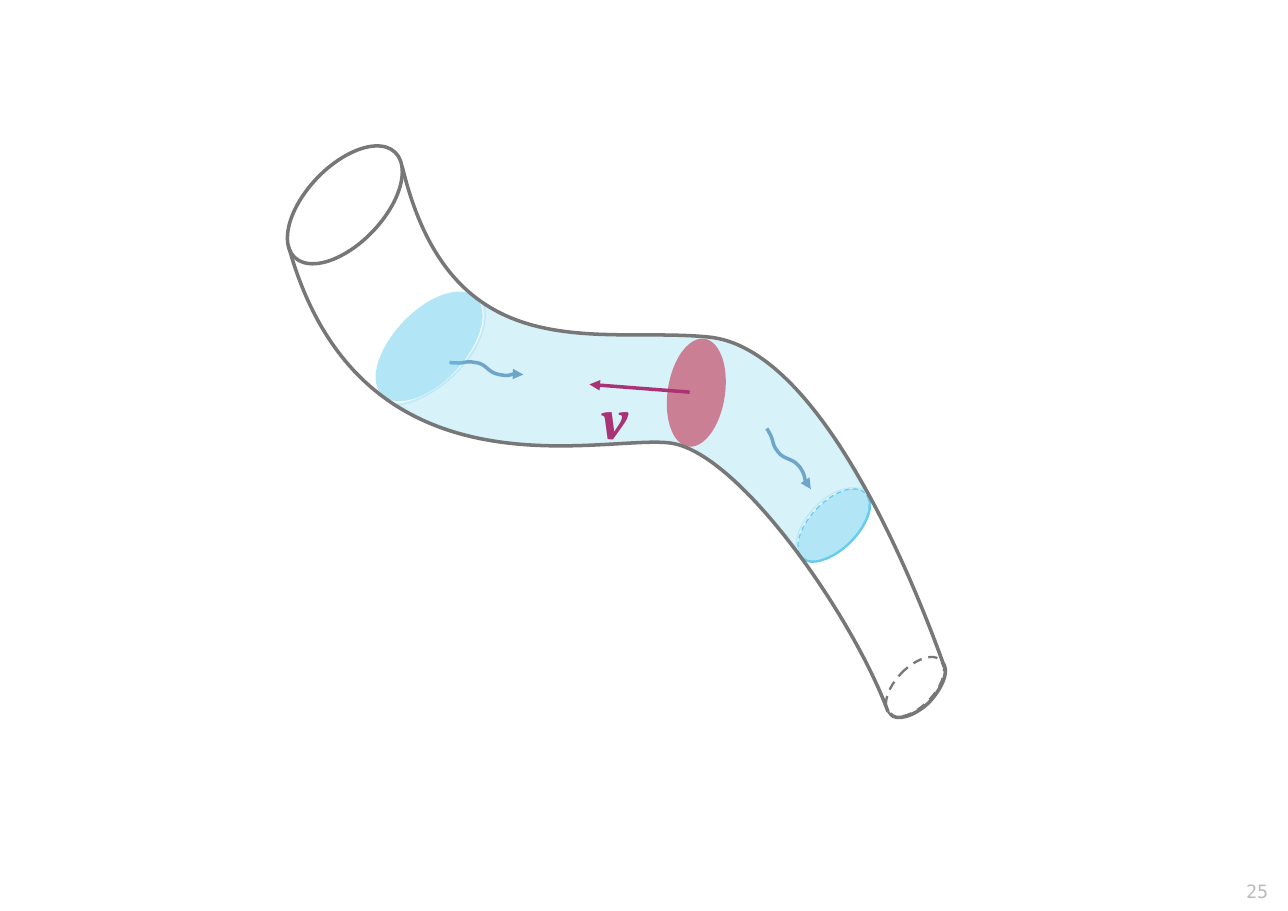
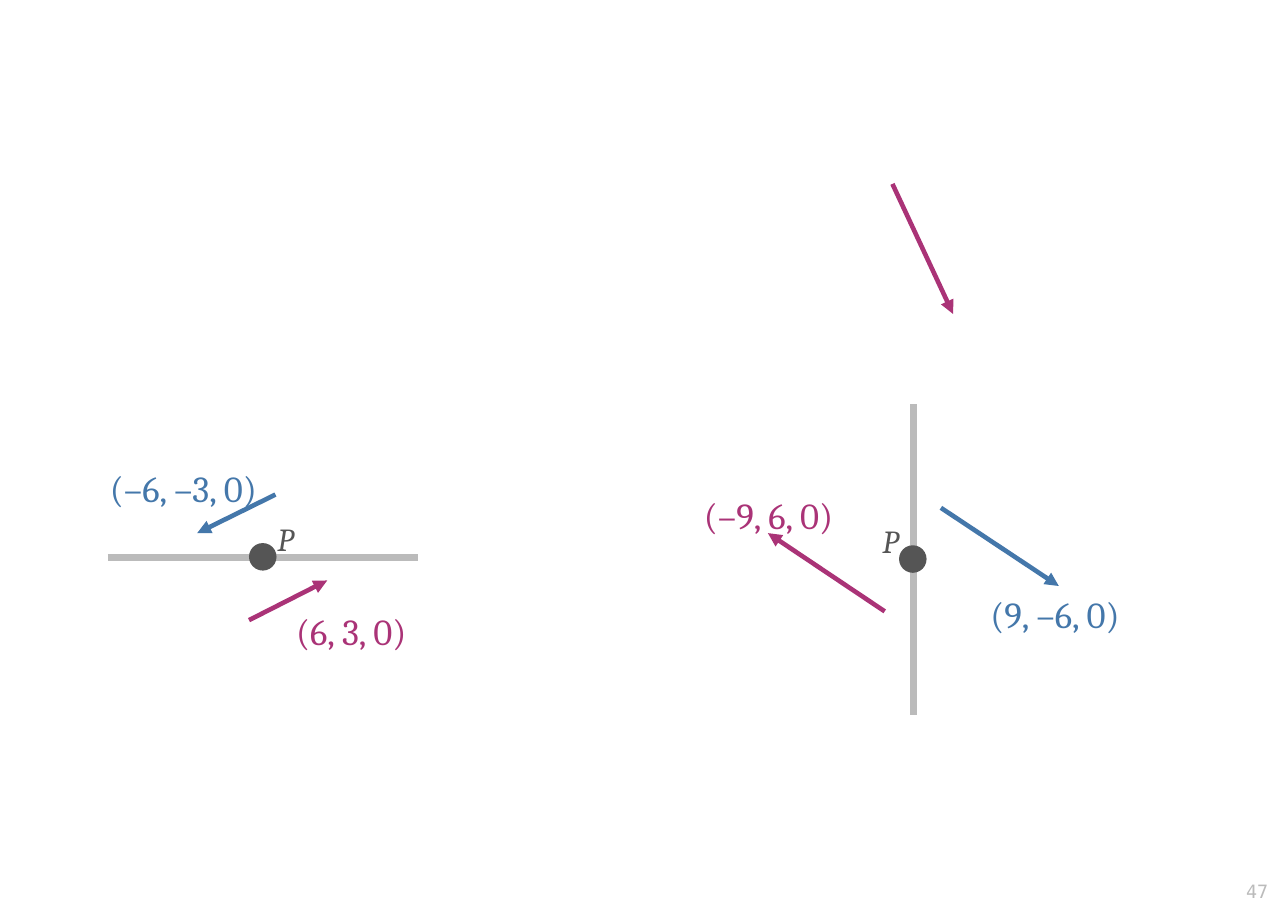
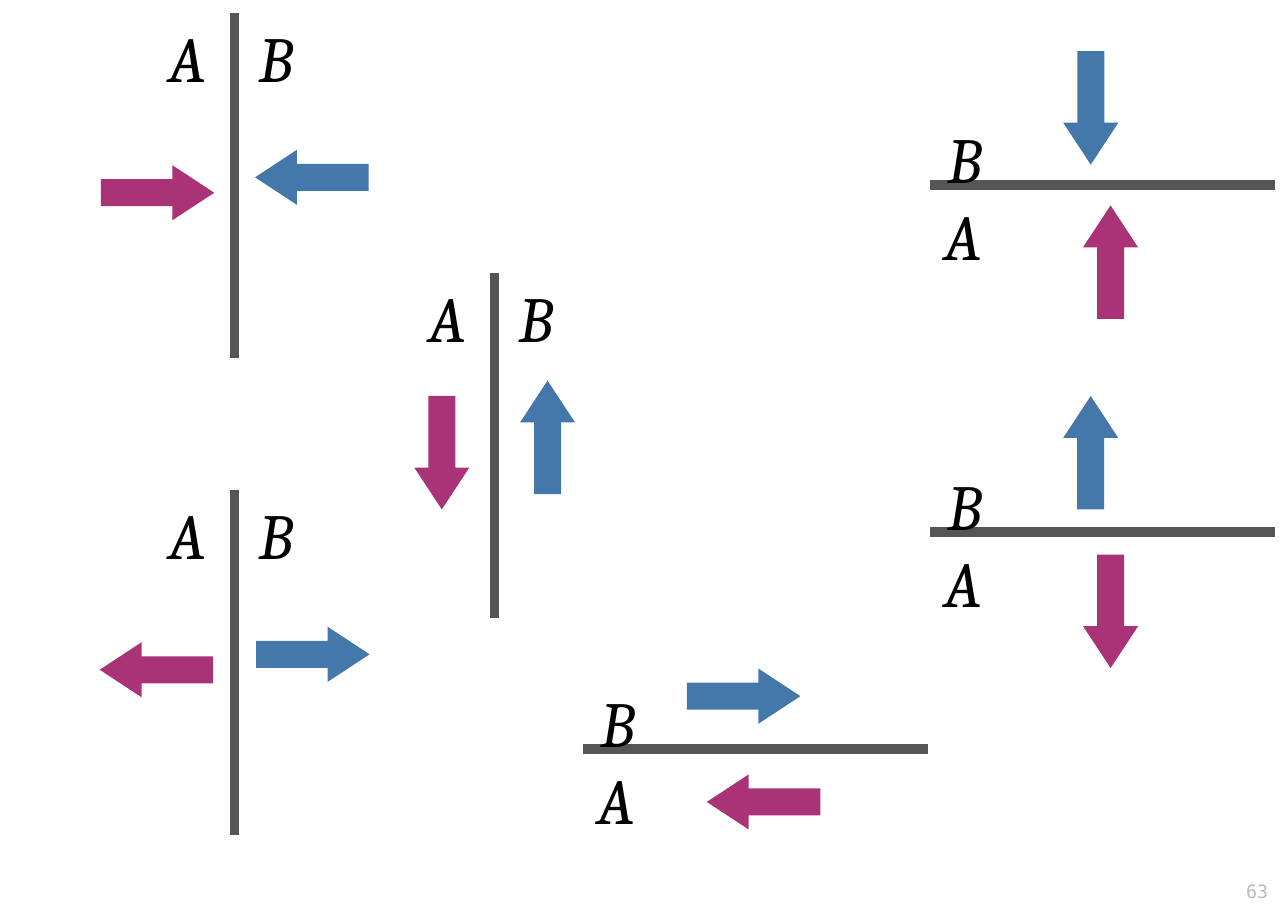
from dataclasses import dataclass

from lxml import etree
from pptx import Presentation
from pptx import util as u
from pptx.dml.color import RGBColor
from pptx.enum import dml, shapes, text
from pptx.oxml import ns


@dataclass(frozen=True)
class Theme:
    blue: str = "4477AA"
    cyan: str = "66CCEE"
    red: str = "EE6677"
    purple: str = "AA3377"
    black: str = "000000"
    dark: str = "555555"
    outline: str = "777777"
    light: str = "BBBBBB"
    math_font: str = "Cambria"
    number_font: str = "DejaVu Sans Mono"
    number_size: int = 12
    point_size: int = 21
    vector_size: int = 24
    velocity_size: int = 36
    side_size: int = 42


theme = Theme()


def style(shape, fill=None, line=None, width=1, fill_alpha=100, line_alpha=100, dash=False, arrow=False):
    properties = shape._element.spPr
    if fill:
        shape.fill.solid()
        shape.fill.fore_color.rgb = RGBColor.from_string(fill)
    elif hasattr(shape, "fill"):
        shape.fill.background()
    if line:
        shape.line.color.rgb = RGBColor.from_string(line)
        shape.line.width = u.Pt(width)
        if dash:
            shape.line.dash_style = dml.MSO_LINE.DASH
        if arrow:
            etree.SubElement(properties.find(ns.qn("a:ln")), ns.qn("a:tailEnd"), type="triangle")
    else:
        shape.line.fill.background()
    for place, alpha in (("a:solidFill", fill_alpha), ("a:ln", line_alpha)):
        if alpha < 100:
            colour = next(properties.find(ns.qn(place)).iter(ns.qn("a:srgbClr")))
            etree.SubElement(colour, ns.qn("a:alpha"), val=str(alpha * 1000))
    etree.SubElement(properties, ns.qn("a:effectLst"))


def add_label(slide, words, box, size, colour, font=theme.math_font, bold=False, italic=False, align=None):
    frame = slide.shapes.add_textbox(*map(u.Inches, box)).text_frame
    frame.word_wrap = False
    frame.auto_size = text.MSO_AUTO_SIZE.SHAPE_TO_FIT_TEXT
    paragraph = frame.paragraphs[0]
    paragraph.text = words
    paragraph.alignment = align
    paragraph.font.name = font
    paragraph.font.size = u.Pt(size)
    paragraph.font.bold = bold
    paragraph.font.italic = italic
    paragraph.font.color.rgb = RGBColor.from_string(colour)


presentation = Presentation()
presentation.slide_width = u.Inches(11.69)
presentation.slide_height = u.Inches(8.27)
slides = []
for number in ("25", "47", "63"):
    slide = presentation.slides.add_slide(presentation.slide_layouts[6])
    add_label(slide, number, (10.61, 7.94, 1, 0.29), theme.number_size, theme.light,
              font=theme.number_font, align=text.PP_ALIGN.RIGHT)
    slides.append(slide)
tube_slide, vector_slide, sides_slide = slides

sections = {
    "outlet": (7.35, 4.36, 0.43, 0.82),
    "piston": (6.06, 3.07, 0.52, 0.99),
    "inlet": (3.57, 2.53, 0.65, 1.23),
    "top end": (2.78, 1.2, 0.7, 1.32),
    "bottom end": (8.13, 5.9, 0.35, 0.67),
}
curves = {
    "outflow": [(6.96, 3.89), (7.04, 4.01), (6.99, 4.01), (7.06, 4.1), (7.12, 4.18),
                (7.19, 4.15), (7.26, 4.24), (7.32, 4.33), (7.27, 4.33), (7.36, 4.44)],
    "inflow": [(4.08, 3.29), (4.23, 3.31), (4.2, 3.27), (4.31, 3.29), (4.42, 3.3),
               (4.42, 3.38), (4.53, 3.4), (4.64, 3.42), (4.61, 3.38), (4.75, 3.4)],
    "fluid": [(4.38, 2.76), (4.99, 3.15), (5.78, 3), (6.43, 3.06),
              (6.96, 3.11), (7.46, 3.72), (7.85, 4.46),
              (7.72, 4.39), (7.53, 4.47), (7.4, 4.61),
              (7.28, 4.73), (7.22, 4.88), (7.23, 4.99),
              (6.84, 4.48), (6.4, 4.05), (6.07, 4.02),
              (5.65, 3.97), (4.49, 4.25), (3.59, 3.67),
              (3.74, 3.67), (3.96, 3.56), (4.14, 3.38),
              (4.32, 3.2), (4.45, 2.94), (4.38, 2.76)],
    "outlet front": [(7.29, 5.07), (7.36, 5.14), (7.56, 5.08), (7.72, 4.92),
                     (7.87, 4.77), (7.94, 4.58), (7.87, 4.49)],
    "lower edge": [(2.62, 2.24), (3.27, 4.58), (5.45, 3.95), (6.07, 4.02),
                   (6.69, 4.08), (7.74, 5.59), (8.06, 6.46)],
    "upper edge": [(3.65, 1.51), (4.1, 3.39), (5.43, 2.96), (6.43, 3.06),
                   (7.42, 3.15), (8.26, 5.18), (8.57, 6.05)],
    "bottom front": [(8.08, 6.48), (8.13, 6.55), (8.29, 6.51), (8.43, 6.38),
                     (8.57, 6.23), (8.62, 6.07), (8.55, 6.01)],
}
wave = dict(line=theme.blue, width=2.3, line_alpha=75, arrow=True)
wall = dict(line=theme.outline, width=2.3)
for name, look in (
    ("outlet", dict(fill=theme.cyan, fill_alpha=50, line=theme.cyan, width=0.79, dash=True)),
    ("outflow", wave),
    ("inflow", wave),
    ("piston", dict(fill=theme.red)),
    ("inlet", dict(fill=theme.cyan, fill_alpha=50)),
    ("top end", wall),
    ("bottom end", dict(line=theme.outline, width=1.5, dash=True)),
    ("fluid", dict(fill=theme.cyan, fill_alpha=25, line=theme.cyan, width=1.5, line_alpha=25)),
    ("outlet front", dict(line=theme.cyan, width=1.5)),
    ("lower edge", wall),
    ("upper edge", wall),
    ("bottom front", wall),
):
    if name in sections:
        shape = tube_slide.shapes.add_shape(shapes.MSO_SHAPE.OVAL, *map(u.Inches, sections[name]))
        shape.rotation = 8.7 if name == "piston" else 43.7
    else:
        points = [(u.Inches(x), u.Inches(y)) for x, y in curves[name]]
        builder = tube_slide.shapes.build_freeform(*points[0])
        builder.add_line_segments(points[1:], close=name == "fluid")
        shape = builder.convert_to_shape()
        segments = list(shape._element.iter(ns.qn("a:lnTo")))
        for first in range(0, len(segments), 3):
            bezier = etree.Element(ns.qn("a:cubicBezTo"))
            segments[first].addprevious(bezier)
            for segment in segments[first:first + 3]:
                bezier.append(segment[0])
                segment.getparent().remove(segment)
    style(shape, **look)

add_label(tube_slide, "v", (5.36, 3.44, 0.48, 0.78), theme.velocity_size, theme.purple, bold=True, italic=True)

for slide, ends, colour, width in (
    (tube_slide, (6.26, 3.56, 5.35, 3.49), theme.purple, 2.3),
    (vector_slide, (8.29, 6.49, 8.29, 3.67), theme.light, 4.5),
    (vector_slide, (8.54, 4.61, 9.61, 5.32), theme.blue, 3),
    (vector_slide, (8.1, 1.67, 8.65, 2.85), theme.purple, 3),
    (vector_slide, (8.03, 5.55, 6.97, 4.84), theme.purple, 3),
    (vector_slide, (0.98, 5.06, 3.79, 5.06), theme.light, 4.5),
    (vector_slide, (2.5, 4.49, 1.79, 4.84), theme.blue, 3),
    (vector_slide, (2.26, 5.63, 2.97, 5.27), theme.purple, 3),
):
    connector = slide.shapes.add_connector(shapes.MSO_CONNECTOR.STRAIGHT, *map(u.Inches, ends))
    style(connector, line=colour, width=width, arrow=colour != theme.light)

for left, top in ((2.26, 4.93), (8.16, 4.95)):
    point = vector_slide.shapes.add_shape(shapes.MSO_SHAPE.OVAL, *map(u.Inches, (left, top, 0.25, 0.25)))
    style(point, fill=theme.dark)

for words, box, colour in (
    ("(9, –6, 0)", (8.89, 5.32, 1.49, 0.55), theme.blue),
    ("(–9, 6, 0)", (6.29, 4.42, 1.49, 0.55), theme.purple),
    ("(–6, –3, 0)", (0.9, 4.18, 1.66, 0.55), theme.blue),
    ("(6, 3, 0)", (2.59, 5.48, 1.32, 0.55), theme.purple),
):
    add_label(vector_slide, words, box, theme.vector_size, colour)
for left, top in ((2.42, 4.67), (7.91, 4.68)):
    add_label(vector_slide, "P", (left, top, 0.38, 0.5), theme.point_size, theme.dark, italic=True)

right, down, left_turn, up = 0, 90, 180, 270
wall_length, arrow_length, arrow_height = 3.13, 1.03, 0.5
for x, y, vertical, blue_turn, gap in (
    (2.13, 0.12, True, left_turn, 0.7),
    (2.13, 4.45, True, right, 0.71),
    (4.49, 2.48, True, up, 0.48),
    (8.44, 1.68, False, down, 0.7),
    (8.44, 4.83, False, up, 0.72),
    (5.29, 6.8, False, right, 0.48),
):
    end = (x, y + wall_length) if vertical else (x + wall_length, y)
    boundary = sides_slide.shapes.add_connector(
        shapes.MSO_CONNECTOR.STRAIGHT, *map(u.Inches, (x, y, *end)))
    style(boundary, line=theme.dark, width=6)
    blue_along, purple_along = (1.49, 1.63) if vertical else (1.46, 1.64)
    for colour, turn, along, side in (
        (theme.blue, blue_turn, blue_along, 1),
        (theme.purple, (blue_turn + 180) % 360, purple_along, -1),
    ):
        centre_x, centre_y = (x + side * gap, y + along) if vertical else (x + along, y - side * gap)
        arrow = sides_slide.shapes.add_shape(shapes.MSO_SHAPE.RIGHT_ARROW, *map(u.Inches, (
            centre_x - arrow_length / 2, centre_y - arrow_height / 2, arrow_length, arrow_height)))
        arrow.rotation = turn
        arrow.adjustments[0] = 0.49
        arrow.adjustments[1] = 0.76
        style(arrow, fill=colour)
    offsets = ((-0.7, 0), (0.12, 0)) if vertical else ((0.03, 0.05), (0.06, -0.65))
    for letter, width, (shift_x, shift_y) in zip("AB", (0.62, 0.55), offsets):
        add_label(sides_slide, letter, (x + shift_x, y + shift_y, width, 0.89),
                  theme.side_size, theme.black, italic=True)

presentation.save("out.pptx")
